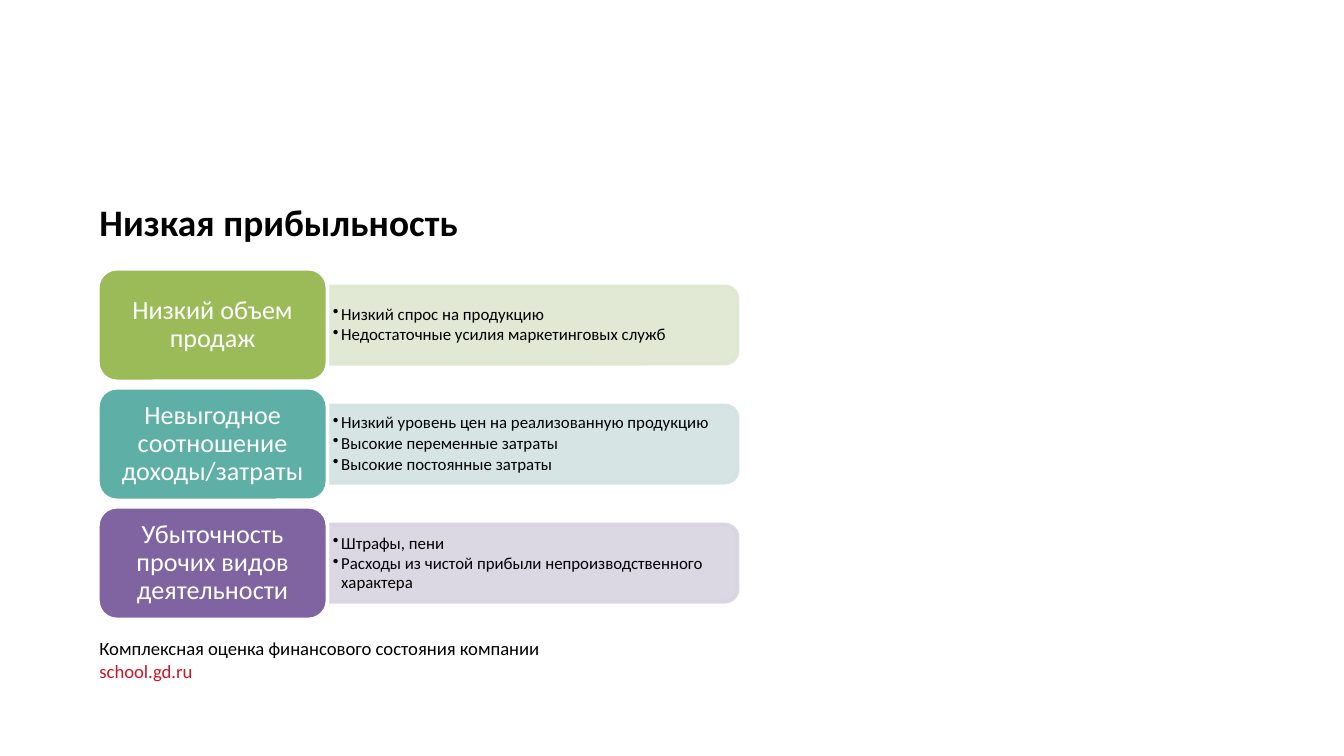
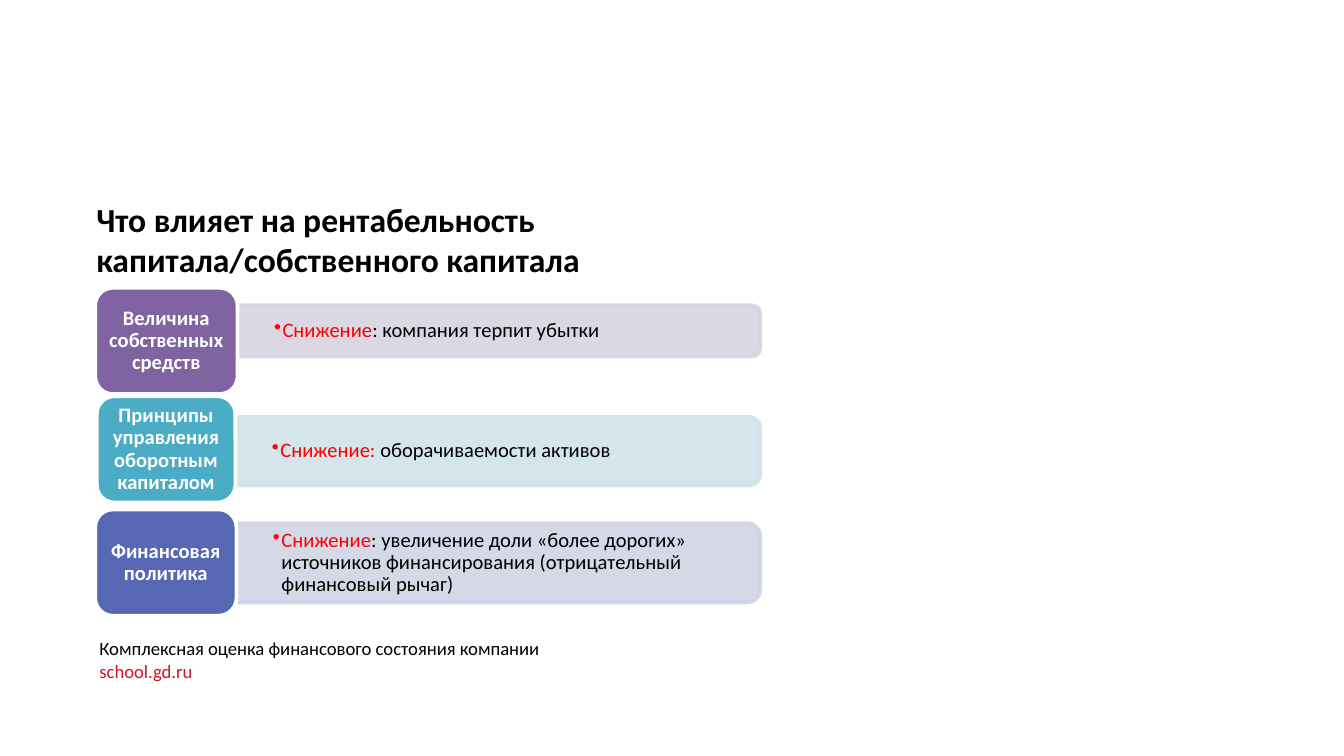
import dataclasses

import pptx
import pptx.dml.color
import pptx.enum.shapes
import pptx.enum.text
import pptx.oxml.ns
import pptx.util
from lxml import etree

Cm = pptx.util.Cm
Pt = pptx.util.Pt
SHAPE = pptx.enum.shapes.MSO_SHAPE
ALIGN = pptx.enum.text.PP_ALIGN
ANCHOR = pptx.enum.text.MSO_ANCHOR


@dataclasses.dataclass(frozen=True)
class Theme:
    font: str = "Calibri"
    black: str = "000000"
    white: str = "FFFFFF"
    link: str = "CE1325"
    alert: str = "FF0000"
    green: tuple = ("9BBB59", "DEE7D1")
    teal: tuple = ("5EAFA6", "D2E3E2")
    purple: tuple = ("8064A2", "D8D3E0")
    cyan: tuple = ("4BACC6", "D0E3EA")
    indigo: tuple = ("5767B4", "D1D4E5")
    footer_size: float = 10
    outline: float = 2
    band_opacity: int = 90


@dataclasses.dataclass(frozen=True)
class Style:
    label_size: float
    label_bold: bool
    label_margins: tuple
    list_size: float
    list_margins: tuple


T = Theme()
REASONS = Style(14, False, (0.15, 0.07), 9, (0.1, 0.05))
FACTORS = Style(11, True, (0.12, 0.05), 11, (0.69, 0.36))


def rgb(value):
    return pptx.dml.color.RGBColor.from_string(value)


def set_attrs(obj, formats):
    for name, value in formats.items():
        setattr(obj, name, value)


def set_frame(tf, margins, anchor):
    x, y = (Cm(m) for m in margins)
    set_attrs(tf, {
        "word_wrap": True,
        "auto_size": pptx.enum.text.MSO_AUTO_SIZE.NONE,
        "vertical_anchor": anchor,
        "margin_left": x, "margin_right": x,
        "margin_top": y, "margin_bottom": y,
    })


def write(tf, paragraphs, size, bold=False, bullet=False, **formats):
    for i, runs in enumerate(paragraphs):
        p = tf.paragraphs[0] if i == 0 else tf.add_paragraph()
        set_attrs(p, formats)
        if bullet:
            add_bullet(p)
        for text, color in runs:
            r = p.add_run()
            r.text = text
            set_attrs(r.font, {"name": T.font, "size": Pt(size), "bold": bold})
            r.font.color.rgb = rgb(color)


def add_bullet(p):
    indent = Cm(0.16)
    pPr = p._p.get_or_add_pPr()
    pPr.set("marL", str(indent))
    pPr.set("indent", str(-indent))
    etree.SubElement(pPr, pptx.oxml.ns.qn("a:buChar"), char="•")


def add_block(s, kind, box, fill, line):
    sp = s.shapes.add_shape(kind, *(Cm(v) for v in box))
    sp.shadow.inherit = False
    sp.fill.solid()
    sp.fill.fore_color.rgb = rgb(fill)
    sp.line.color.rgb = rgb(line)
    sp.line.width = Pt(T.outline)
    return sp


def add_band(s, box, color):
    x, y, w, h = box
    turned = (x + (w - h) / 2, y + (h - w) / 2, h, w)
    sp = add_block(s, SHAPE.ROUND_2_SAME_RECTANGLE, turned, color, color)
    sp.rotation = 90
    for clr in sp._element.spPr.iter(pptx.oxml.ns.qn("a:srgbClr")):
        etree.SubElement(clr, pptx.oxml.ns.qn("a:alpha"),
                         val=str(T.band_opacity * 1000))


def add_row(s, label_box, band_box, colors, label, items, style):
    strong, pale = colors
    add_band(s, band_box, pale)
    x, y, w, h = band_box
    tb = s.shapes.add_textbox(Cm(x), Cm(y + 0.04), Cm(w - 0.08), Cm(h - 0.08))
    set_frame(tb.text_frame, style.list_margins, ANCHOR.MIDDLE)
    write(tb.text_frame, items, style.list_size, bullet=True, level=1,
          line_spacing=0.9, space_after=Pt(style.list_size * 0.15))

    sp = add_block(s, SHAPE.ROUNDED_RECTANGLE, label_box, strong, T.white)
    set_frame(sp.text_frame, style.label_margins, ANCHOR.MIDDLE)
    write(sp.text_frame, [[(label, T.white)]], style.label_size,
          style.label_bold, alignment=ALIGN.CENTER, line_spacing=0.9)


def add_footer(s, box):
    tb = s.shapes.add_textbox(*(Cm(v) for v in box))
    set_frame(tb.text_frame, (0.25, 0.13), ANCHOR.TOP)
    write(tb.text_frame, [
        [("Комплексная оценка финансового состояния компании", T.black)],
        [("school.gd.ru", T.link)],
    ], T.footer_size)


def add_titled_slide(prs, title, size, left):
    s = prs.slides.add_slide(prs.slide_layouts[0])
    subtitle = s.placeholders[1]._element
    subtitle.getparent().remove(subtitle)
    sp = s.shapes.title
    set_attrs(sp, {"left": Cm(left), "top": Cm(3.63),
                   "width": Cm(14.86), "height": Cm(1.17)})
    set_frame(sp.text_frame, (0.25, 0.13), ANCHOR.TOP)
    write(sp.text_frame, [[(title, T.black)]], size, True, alignment=ALIGN.LEFT)
    add_footer(s, (1.63, 11.91, 8.97, 1.12))
    return s


def reasons_slide(prs, box):
    s = add_titled_slide(prs, "Низкая прибыльность", 20, 1.63)
    rows = [
        (T.green, "Низкий объем продаж",
         ["Низкий спрос на продукцию",
          "Недостаточные усилия маркетинговых служб"]),
        (T.teal, "Невыгодное соотношение доходы/затраты",
         ["Низкий уровень цен на реализованную продукцию",
          "Высокие переменные затраты",
          "Высокие постоянные затраты"]),
        (T.purple, "Убыточность прочих видов деятельности",
         ["Штрафы, пени",
          "Расходы из чистой прибыли непроизводственного характера"]),
    ]
    x, y, w, h = box
    label_w, label_h, band_h = 4.34, 2.13, 1.46
    pitch = (h - label_h) / (len(rows) - 1)
    for i, (colors, label, items) in enumerate(rows):
        top = y + i * pitch
        add_row(s, (x, top, label_w, label_h),
                (x + label_w, top + (label_h - band_h) / 2, w - label_w, band_h),
                colors, label, [[(item, T.black)] for item in items], REASONS)


def factors_slide(prs, box):
    s = add_titled_slide(
        prs, "Что влияет на рентабельность капитала/собственного капитала",
        18, 1.57)
    rows = [
        (0, 0, 2.69, 0.33, 0.97, T.purple, "Величина собственных средств",
         "Снижение", ": компания терпит убытки"),
        (0.03, 2.05, 2.62, 2.44, 1.3, T.cyan,
         "Принципы управления оборотным капиталом",
         "Снижение: ", "оборачиваемости активов"),
        (0, 4.19, 2.67, 4.45, 1.5, T.indigo, "Финансовая политика",
         "Снижение", ": увеличение доли «более дорогих» источников "
         "финансирования (отрицательный финансовый рычаг)"),
    ]
    x, y, w, _ = box
    label_h = 2.01
    for dx, dy, label_w, band_dy, band_h, colors, label, lead, rest in rows:
        edge = dx + label_w
        add_row(s, (x + dx, y + dy, label_w, label_h),
                (x + edge, y + band_dy, w - edge, band_h),
                colors, label, [[(lead, T.alert), (rest, T.black)]], FACTORS)


def main():
    prs = pptx.Presentation()
    prs.slide_width, prs.slide_height = Cm(25.4), Cm(14.29)
    reasons_slide(prs, (1.85, 5.08, 12.09, 6.63))
    factors_slide(prs, (1.8, 5.44, 12.57, 6.2))
    prs.save("out.pptx")


if __name__ == "__main__":
    main()
